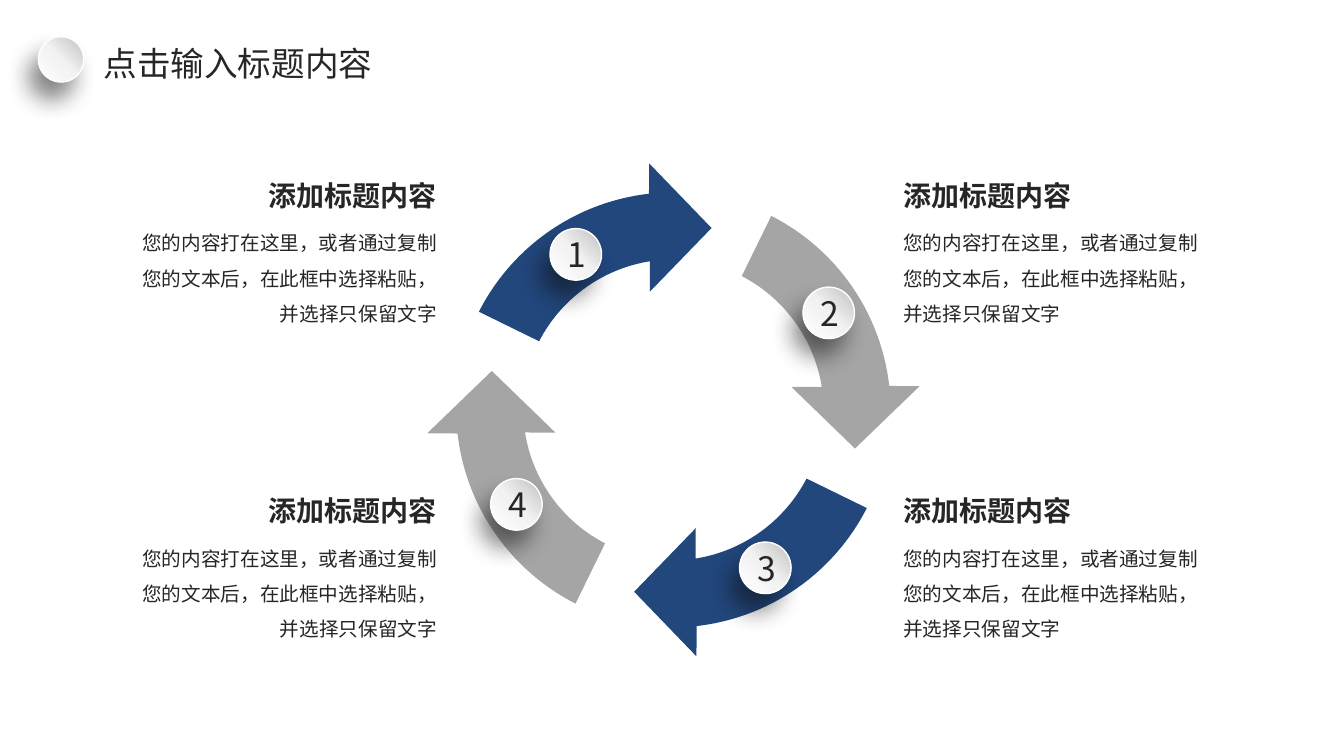
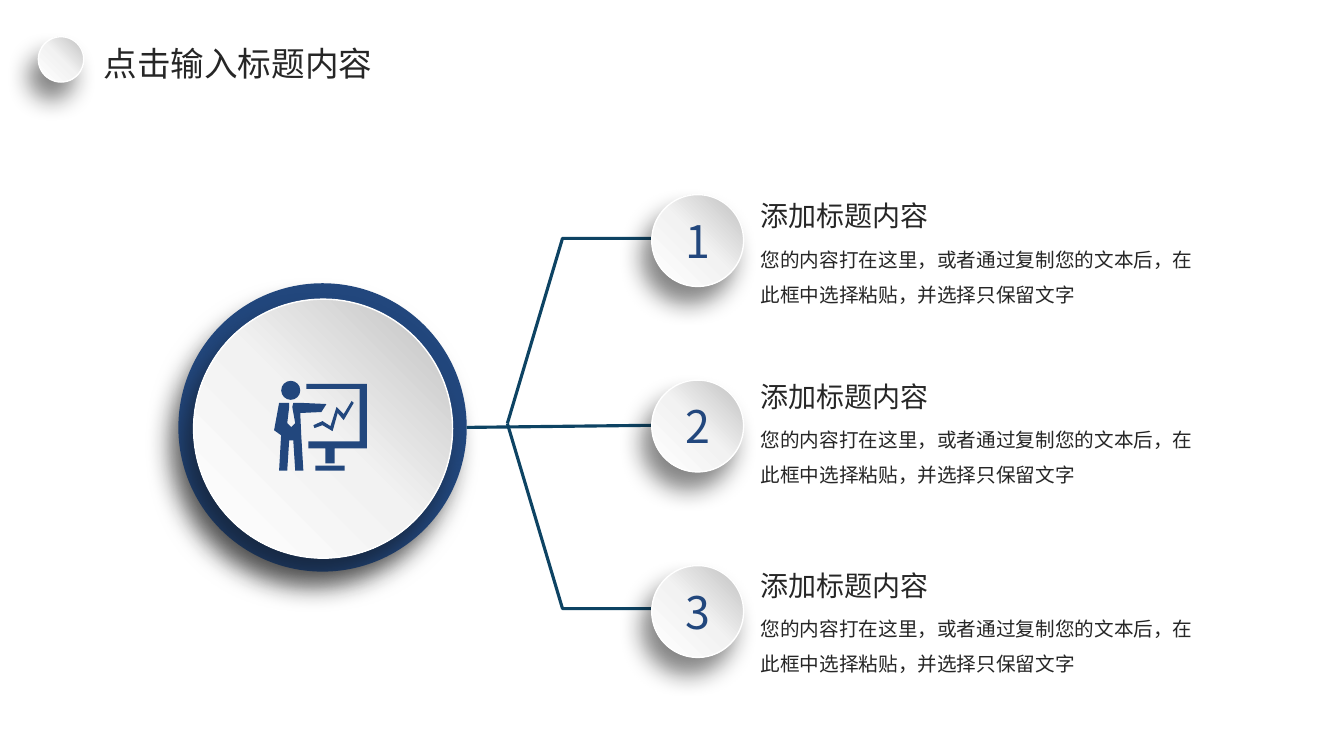
from copy import deepcopy
from math import cos, radians, sin, tan

from lxml import etree
from pptx import Presentation
from pptx.dml.color import RGBColor
from pptx.enum import shapes, text
from pptx.oxml.ns import qn
from pptx.util import Pt

FONT = "Noto Sans CJK SC"
COLORS = {"blue": "22477D", "gray": "A5A5A5", "line": "0D4363", "ink": "262626",
          "white": "FFFFFF", "shadow": "0D0D0D"}
SHEEN = [(0, "BFBFBF"), (0.5, "F2F2F2"), (1, "FFFFFF")]
LEFT, CENTER, RIGHT = text.PP_ALIGN.LEFT, text.PP_ALIGN.CENTER, text.PP_ALIGN.RIGHT

SLIDE_TITLE = "点击输入标题内容"
HEADING = "添加标题内容"
BODY = "您的内容打在这里，或者通过复制您的文本后，在此框中选择粘贴，并选择只保留文字"

# Cycle: number, arrow colour, centre of the arrow's turn, badge centre, clockwise
CYCLE_STEPS = [
    ("1", "blue", (481.3, 293.6), (411.3, 181.7)),
    ("2", "gray", (480, 293.4), (592, 223.5)),
    ("3", "blue", (480, 292), (546.7, 405.6)),
    ("4", "gray", (482, 292), (368.9, 360.3)),
]
CYCLE_BADGE = 36.8
OUTER_RADIUS, INNER_RADIUS = 156.2, 108.3
ARROW_HEAD = [(-17.5, -176.8), (27, -130.7), (-17, -85.3)]
CAPTION_TOPS = (123.8, 349)
CAPTION_SIDES = [(638.2, LEFT), (319.3, RIGHT)]  # edge the text is aligned to

# Branches: number, top of heading, top of body
BRANCHES = [("1", 138.2, 164.8), ("2", 267.8, 293.7), ("3", 402.5, 428.5)]
BRANCH_LEFT, BRANCH_TOP, BRANCH_STEP, BRANCH_BADGE = 465.6, 139, 132.5, 65.6
HUB_CENTER, HUB_SIZE = (230.4, 305.3), 206
FACE_CENTER, FACE_SIZE = (230.8, 306.2), 185
FORK = (362.4, 302.5)

# Presenter pictogram, measured from its top left corner
ICON_ORIGIN = (195.8, 272)
ICON_HEAD = (11.9, 6.8, 6.8)  # centre and radius
ICON_PARTS = {
    "board": [(43.2, 48.2), (66.2, 48.2), (66.2, 2.2), (23, 2.2), (23, 5.8), (61.2, 5.8),
              (61.2, 43.2), (24.5, 43.2), (24.5, 48.2), (36.7, 48.2), (36.7, 59), (43.2, 59)],
    "foot": [(29.5, 60.5), (50.4, 60.5), (50.4, 64.1), (29.5, 64.1)],
    "trend": [(28.1, 31.7), (34.6, 28.8), (40.3, 32.4), (44.6, 18.7), (49.7, 23.8),
              (55.4, 14.4), (56.9, 15.8), (49.7, 28.1), (45.4, 23), (41.8, 36),
              (34.6, 31.7), (28.8, 33.8)],
    "presenter": [(0, 35.3), (5, 38.9), (3.6, 64.1), (9.4, 64.1), (10.8, 42.5), (13.7, 42.5),
                  (15.1, 64.1), (20.9, 64.1), (19.4, 38.9), (18.7, 23), (33.8, 22.3),
                  (37.4, 16.6), (20.2, 15.8), (13.7, 15.8), (13, 18.7), (15.1, 30.2),
                  (12.2, 33.1), (9.4, 30.2), (10.8, 18.7), (10.8, 15.8), (3.6, 15.8)],
}


def rgb(name):
    return RGBColor.from_string(COLORS[name])


def write(frame, words, size, color="ink", bold=None, align=LEFT, spacing=None):
    paragraph = frame.paragraphs[0]
    paragraph.alignment = align
    paragraph.line_spacing = spacing
    run = paragraph.add_run()
    run.text = words
    for key, value in {"size": Pt(size), "bold": bold, "name": FONT}.items():
        setattr(run.font, key, value)
    run.font.color.rgb = rgb(color)
    etree.SubElement(run.font._element, qn("a:ea"), typeface=FONT)


def add_text(slide, box, words, size, **style):
    frame = slide.shapes.add_textbox(*map(Pt, box)).text_frame
    frame.word_wrap = True
    write(frame, words, size, **style)
    return frame


def add_caption(slide, x, heading_box, body_box, bold=None, align=LEFT):
    """Heading over body text; boxes are (top, width, height), x the aligned edge."""
    for words, size, (top, width, height), style in (
            (HEADING, 20, heading_box, {"bold": bold}),
            (BODY, 14, body_box, {"spacing": 1.5})):
        left = x - width if align == RIGHT else x
        frame = add_text(slide, (left, top, width, height), words, size, align=align, **style)
        frame.auto_size = text.MSO_AUTO_SIZE.SHAPE_TO_FIT_TEXT


def add_disc(slide, center, size):
    """Circle with the soft shadow thrown down and left."""
    x, y = center
    disc = slide.shapes.add_shape(shapes.MSO_SHAPE.OVAL, Pt(x - size / 2), Pt(y - size / 2),
                                  Pt(size), Pt(size))
    disc.shadow.inherit = False
    effects = disc._element.spPr.find(qn("a:effectLst"))
    shadow = etree.SubElement(effects, qn("a:outerShdw"), blurRad=str(Pt(17)), dist=str(Pt(14)),
                              dir=str(120 * 60000), algn="ctr", rotWithShape="0")
    tone = etree.SubElement(shadow, qn("a:srgbClr"), val=COLORS["shadow"])
    etree.SubElement(tone, qn("a:alpha"), val="50000")
    return disc


def add_button(slide, center, size, number=None, font_size=None, color="ink"):
    """Raised disc, shaded from light gray to white, with an optional number."""
    button = add_disc(slide, center, size)
    button.fill.gradient()
    button.fill.gradient_angle = 225
    stop_list = button._element.spPr.find(".//" + qn("a:gsLst"))
    stop_list.append(deepcopy(stop_list[0]))
    for stop, (position, tone) in zip(button.fill.gradient_stops, SHEEN):
        stop.position = position
        stop.color.rgb = RGBColor.from_string(tone)
    button.line.color.rgb = rgb("white")
    button.line.width = Pt(1)
    if number:
        button.text_frame.vertical_anchor = text.MSO_ANCHOR.MIDDLE
        write(button.text_frame, number, font_size, color, align=CENTER)


def add_outline(slide, origin, contours, curves=(), close=True):
    """Freeform measured from origin; curves gives the index, among all points,
    of the first of each three that form a Bezier curve."""
    def place(points):
        return [(Pt(origin[0] + x), Pt(origin[1] + y)) for x, y in points]

    first, *others = map(place, contours)
    builder = slide.shapes.build_freeform(*first[0])
    builder.add_line_segments(first[1:], close=close)
    for contour in others:
        builder.move_to(*contour[0])
        builder.add_line_segments(contour[1:], close=close)
    outline = builder.convert_to_shape()
    outline.shadow.inherit = False
    steps = list(outline._element.spPr.iter(qn("a:moveTo"), qn("a:lnTo")))
    for index in curves:
        start, *rest = steps[index:index + 3]
        start.tag = qn("a:cubicBezTo")
        for step in rest:
            start.append(step[0])
            step.getparent().remove(step)
    return outline


def fill_flat(shape, color):
    shape.fill.solid()
    shape.fill.fore_color.rgb = rgb(color)
    shape.line.fill.background()


def style_line(line):
    line.color.rgb = rgb("line")
    line.width = Pt(2.25)


def arc(radius, start, end, center=(0, 0), pieces=1):
    """Start point, then three Bezier points for each piece."""
    step = radians(end - start) / pieces
    pull = 4 / 3 * tan(step / 4)
    points = [(cos(radians(start)), sin(radians(start)))]
    for piece in range(pieces):
        a = radians(start) + piece * step
        b = a + step
        points += [(cos(a) - pull * sin(a), sin(a) + pull * cos(a)),
                   (cos(b) + pull * sin(b), sin(b) - pull * cos(b)),
                   (cos(b), sin(b))]
    return [(center[0] + radius * x, center[1] + radius * y) for x, y in points]


def quarter_turns(points, count):
    for _ in range(count):
        points = [(-y, x) for x, y in points]
    return points


def add_slide(prs):
    return prs.slides.add_slide(prs.slide_layouts[6])


def add_header(slide):
    frame = add_text(slide, (74, 25.2, 223.2, 39.6), SLIDE_TITLE, 24)
    frame.margin_left = frame.margin_right = 0
    frame.vertical_anchor = text.MSO_ANCHOR.MIDDLE
    add_button(slide, (43.6, 42.4), 32.4)


def build_cycle(prs):
    slide = add_slide(prs)
    outer = arc(OUTER_RADIUS, 207, 263.5, pieces=2)
    arrow = outer + ARROW_HEAD + arc(INNER_RADIUS, 261, 207.4)
    curves = (1, 4, len(outer) + len(ARROW_HEAD) + 1)
    for turn, (_, color, center, _) in enumerate(CYCLE_STEPS):
        fill_flat(add_outline(slide, center, [quarter_turns(arrow, turn)], curves), color)
    for number, _, _, center in CYCLE_STEPS:
        add_button(slide, center, CYCLE_BADGE, number, 24)
    add_header(slide)
    for edge, align in CAPTION_SIDES:
        for top in CAPTION_TOPS:
            add_caption(slide, edge, (top, 180, 31.7), (top + 29.5, 233.3, 83.5),
                        bold=True, align=align)


def build_branches(prs):
    slide = add_slide(prs)
    fill_flat(add_disc(slide, HUB_CENTER, HUB_SIZE), "blue")
    stem = slide.shapes.add_connector(
        shapes.MSO_CONNECTOR.STRAIGHT, Pt(HUB_CENTER[0] + HUB_SIZE / 2), Pt(HUB_CENTER[1]),
        Pt(BRANCH_LEFT), Pt(303.8))
    style_line(stem.line)
    etree.SubElement(stem._element.spPr, qn("a:effectLst"))
    for rise in (-132.2, 132.2):
        elbow = add_outline(slide, FORK, [[(104, rise), (39.4, rise), (0, 0)]], close=False)
        elbow.fill.background()
        style_line(elbow.line)
    for _, heading_top, body_top in BRANCHES:
        add_caption(slide, 536.2, (heading_top, 250.6, 31.7), (body_top, 324.7, 58.3))
    add_header(slide)
    add_button(slide, FACE_CENTER, FACE_SIZE)
    x, y, radius = ICON_HEAD
    head = arc(radius, 0, 360, (x, y), pieces=4)
    fill_flat(add_outline(slide, ICON_ORIGIN, [head, *ICON_PARTS.values()],
                          range(1, len(head), 3)), "blue")
    half = BRANCH_BADGE / 2
    for row, (number, _, _) in enumerate(BRANCHES):
        center = (BRANCH_LEFT + half, BRANCH_TOP + row * BRANCH_STEP + half)
        add_button(slide, center, BRANCH_BADGE, number, 32, "blue")


def main():
    prs = Presentation()
    prs.slide_width, prs.slide_height = Pt(960), Pt(540)
    build_cycle(prs)
    build_branches(prs)
    prs.save("out.pptx")


if __name__ == "__main__":
    main()
